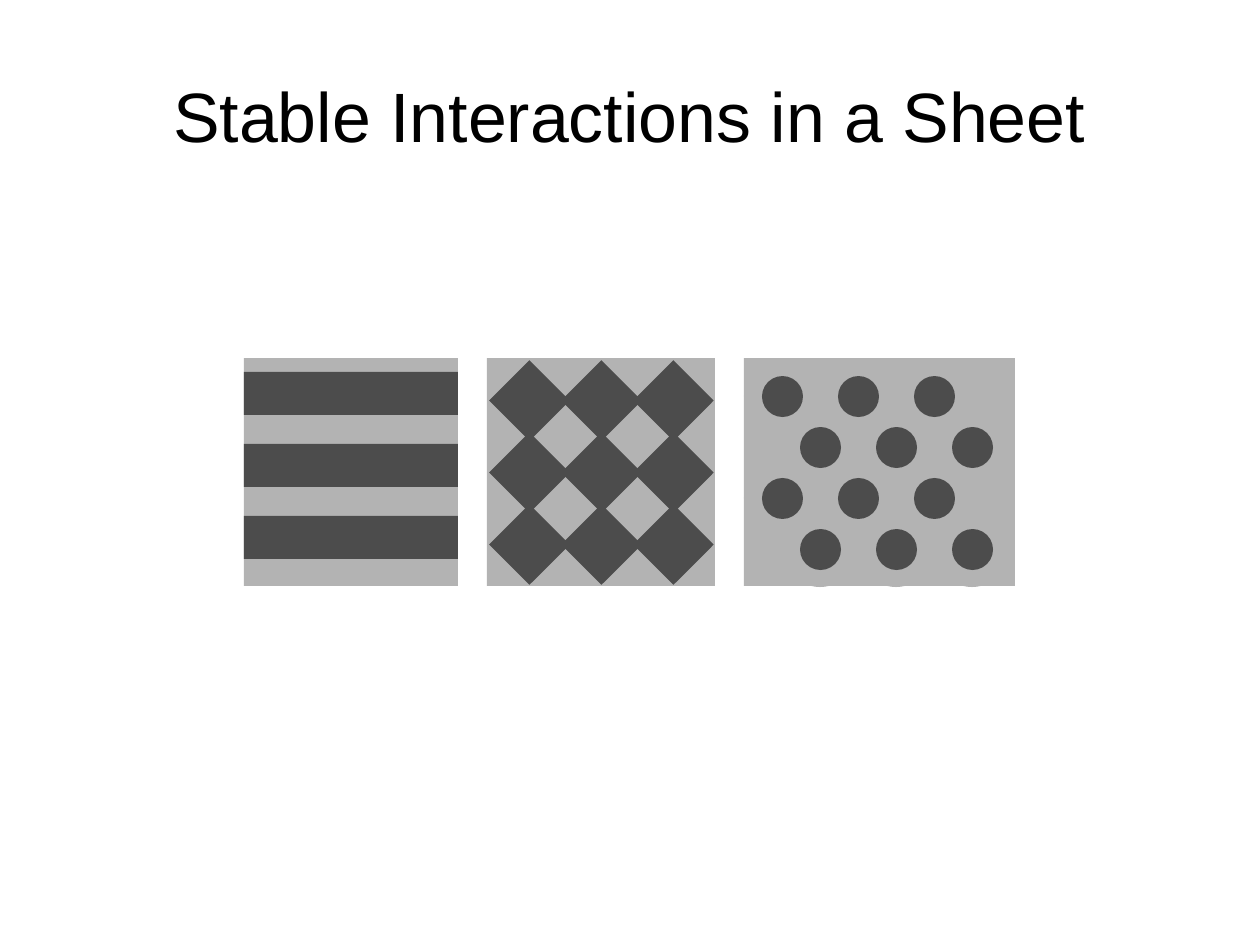
from itertools import product

from pptx import Presentation
from pptx.dml.color import RGBColor
from pptx.enum.shapes import MSO_SHAPE
from pptx.enum.text import MSO_ANCHOR, MSO_AUTO_SIZE, PP_ALIGN
from pptx.util import Emu, Pt

COLORS = {"sheet": "B3B3B3", "pattern": "4C4C4C", "title": "000000"}
SHEET_TOP = 358
SHEET_HEIGHT = 228
PITCH = 72


def px(length):
    return Emu(length * 8000)


def add_figure(group, preset, left, top, width, height, color, rotation=0):
    figure = group.shapes.add_shape(
        preset, px(left), px(top), px(width), px(height))
    figure.shadow.inherit = False
    figure.fill.solid()
    figure.fill.fore_color.rgb = RGBColor.from_string(COLORS[color])
    figure.line.fill.background()
    figure.rotation = rotation


def add_sheet(group, left, width):
    add_figure(group, MSO_SHAPE.RECTANGLE, left, SHEET_TOP,
               width, SHEET_HEIGHT, "sheet")


def add_stripes(group, left, width):
    add_sheet(group, left, width)
    for row in range(3):
        add_figure(group, MSO_SHAPE.RECTANGLE, left,
                   SHEET_TOP + 14 + PITCH * row, width, 43, "pattern")


def add_diamonds(group, left, width):
    add_sheet(group, left, width)
    for row, column in product(range(3), repeat=2):
        add_figure(group, MSO_SHAPE.RECTANGLE, left + 14 + PITCH * column,
                   SHEET_TOP + 14 + PITCH * row, 57, 57, "pattern", 315)


def add_spots(group, left, width):
    add_sheet(group, left, width)
    halo, spot, inset = 76, 41, 18
    for row, column in product(range(4), range(3)):
        x = left + halo * column + halo // 2 * (row % 2)
        y = SHEET_TOP + 51 * row
        add_figure(group, MSO_SHAPE.OVAL, x, y, halo, halo, "sheet")
        add_figure(group, MSO_SHAPE.OVAL, x + inset, y + inset,
                   spot, spot, "pattern")


def set_title(slide, wording):
    title = slide.shapes.title
    title.left, title.top, title.width, title.height = map(
        px, (63, 38, 1134, 158))
    frame = title.text_frame
    frame.text = wording
    frame.word_wrap = True
    frame.auto_size = MSO_AUTO_SIZE.NONE
    frame.vertical_anchor = MSO_ANCHOR.MIDDLE
    frame.margin_left = frame.margin_right = frame.margin_bottom = 0
    frame.margin_top = px(5)
    paragraph = frame.paragraphs[0]
    paragraph.alignment = PP_ALIGN.CENTER
    paragraph.line_spacing = 0.93
    font = paragraph.runs[0].font
    font.name = "Arial"
    font.size = Pt(44)
    font.color.rgb = RGBColor.from_string(COLORS["title"])


def main():
    presentation = Presentation()
    presentation.slide_width = px(1260)
    presentation.slide_height = px(945)
    slide = presentation.slides.add_slide(presentation.slide_layouts[5])
    set_title(slide, "Stable Interactions in a Sheet")
    interactions = slide.shapes.add_group_shape()
    add_stripes(interactions, 244, 214)
    add_diamonds(interactions, 487, 228)
    add_spots(interactions, 744, 271)
    presentation.save("out.pptx")


if __name__ == "__main__":
    main()
